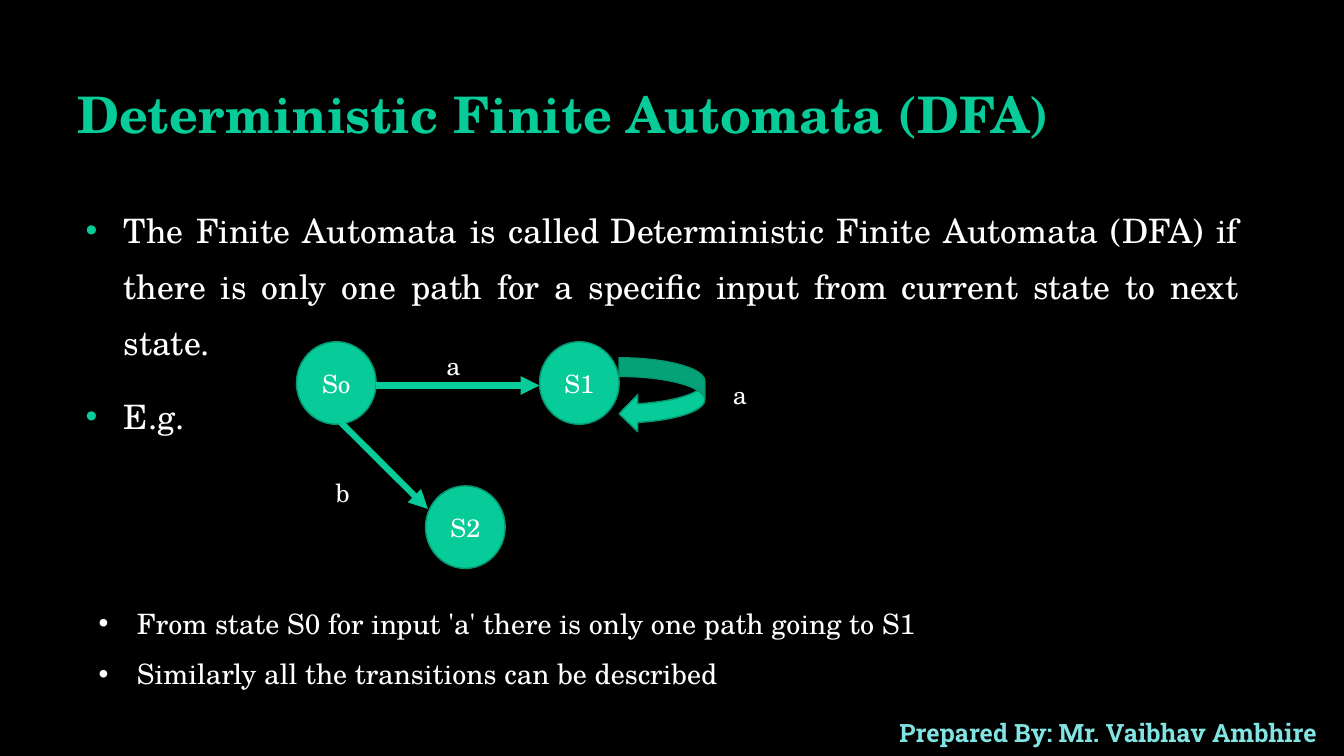
from lxml import etree
from pptx import Presentation
from pptx.dml.color import RGBColor
from pptx.enum.shapes import MSO_CONNECTOR, MSO_SHAPE
from pptx.enum.text import MSO_ANCHOR, PP_ALIGN
from pptx.oxml.ns import qn
from pptx.util import Inches, Pt

BLACK = RGBColor(0x00, 0x00, 0x00)
WHITE = RGBColor(0xFF, 0xFF, 0xFF)
GREEN = RGBColor(0x07, 0xCB, 0x98)
DARK_GREEN = RGBColor(0x05, 0x96, 0x70)
AQUA = RGBColor(0x82, 0xE3, 0xE3)
SERIF, SLAB = "TeX Gyre Schola", "Roboto Slab"
LEFT, CENTER, JUSTIFY = PP_ALIGN.LEFT, PP_ALIGN.CENTER, PP_ALIGN.JUSTIFY
TOP, MIDDLE, BOTTOM = MSO_ANCHOR.TOP, MSO_ANCHOR.MIDDLE, MSO_ANCHOR.BOTTOM
OVAL, LOOP = MSO_SHAPE.OVAL, MSO_SHAPE.CURVED_LEFT_ARROW
STRAIGHT = MSO_CONNECTOR.STRAIGHT

TITLE = "Deterministic Finite Automata (DFA)"
DEFINITION = [
    "The Finite Automata is called\u00a0Deterministic Finite Automata (DFA) if there is "
    "only one path for a specific input from current state to next state.",
    "E.g.",
]
REMARKS = [
    "From state S0 for input 'a' there is only one path going to S1",
    "Similarly all the transitions can be described",
]
CREDIT = "Prepared By: Mr. Vaibhav Ambhire"

# Places and sizes are percentages of the slide's width and height.
STATE_SIZE = (5.93, 10.93)
STATES = {"So": (22.06, 45.2), "S1": (40.14, 45.2), "S2": (31.66, 64.27)}
# Each end of a transition: state, then share of that state's width and height.
TRANSITIONS = [
    (("So", 1, 0.53), ("S1", 0, 0.53)),
    (("So", 0.56, 0.98), ("S2", 0.03, 0.28)),
]
LOOP_DROP, LOOP_SIZE = 2.13, (6.38, 9.87)
INPUT_SIZE = (3.08, 5.33)
INPUTS = [("a", 32.48, 45.73), ("b", 24.23, 62.53), ("a", 53.79, 49.47)]

deck = Presentation()
deck.slide_width, deck.slide_height = Inches(13.33), Inches(7.5)
page = deck.slides.add_slide(deck.slide_layouts[6])
page.background.fill.solid()
page.background.fill.fore_color.rgb = BLACK


def place(*shares):
    """Turn alternating percentages of slide width and height into lengths."""
    sides = (deck.slide_width, deck.slide_height)
    return [int(sides[i % 2] * share / 100) for i, share in enumerate(shares)]


def add_bullet(para, color):
    props = para._p.get_or_add_pPr()
    props.set("marL", str(Inches(0.38)))
    props.set("indent", str(-Inches(0.38)))
    tint = etree.SubElement(etree.SubElement(props, qn("a:buClr")), qn("a:srgbClr"))
    tint.set("val", str(color))
    etree.SubElement(props, qn("a:buFont")).set("typeface", "Arial")
    etree.SubElement(props, qn("a:buChar")).set("char", "•")


def write(box, lines, size=18, font=SERIF, color=WHITE, bold=False, align=LEFT,
          anchor=TOP, spacing=None, before=0, bullet=None):
    frame = box.text_frame
    frame.word_wrap = True
    frame.vertical_anchor = anchor
    for index, line in enumerate(lines):
        para = frame.add_paragraph() if index else frame.paragraphs[0]
        para.alignment = align
        para.space_before = Pt(before)
        if spacing:
            para.line_spacing = spacing
        if bullet is not None:
            add_bullet(para, bullet)
        span = para.add_run()
        span.text = line
        span.font.size, span.font.name, span.font.bold = Pt(size), font, bold
        span.font.color.rgb = color


def add_text(area, lines, **style):
    write(page.shapes.add_textbox(*place(*area)), lines, **style)


def add_green_shape(kind, area):
    shape = page.shapes.add_shape(kind, *place(*area))
    shape.shadow.inherit = False
    shape.fill.solid()
    shape.fill.fore_color.rgb = GREEN
    shape.line.color.rgb = DARK_GREEN
    shape.line.width = Pt(1)
    return shape


def state_point(name, across, down):
    left, top = STATES[name]
    return left + across * STATE_SIZE[0], top + down * STATE_SIZE[1]


def add_transition(start, end):
    arrow = page.shapes.add_connector(
        STRAIGHT, *place(*state_point(*start), *state_point(*end)))
    arrow.line.color.rgb = GREEN
    arrow.line.width = Pt(4.5)
    etree.SubElement(arrow.line._get_or_add_ln(), qn("a:tailEnd")).set("type", "triangle")
    etree.SubElement(arrow._element.spPr, qn("a:effectLst"))


add_text((64.82, 94.27, 35.26, 5.33), [CREDIT], font=SLAB, color=AQUA, bold=True,
         align=CENTER)
add_text((5.03, 6, 79.3, 13.73), [TITLE], size=36, color=GREEN, bold=True,
         anchor=BOTTOM, spacing=0.9)
add_text((5.63, 24.93, 87.25, 26.27), DEFINITION, size=24, align=JUSTIFY,
         spacing=1.4, before=12, bullet=GREEN)

for name, corner in STATES.items():
    circle = add_green_shape(OVAL, (*corner, *STATE_SIZE))
    write(circle, [name], align=CENTER, anchor=MIDDLE)
for start, end in TRANSITIONS:
    add_transition(start, end)
loop_left, loop_top = state_point("S1", 1, 0)
add_green_shape(LOOP, (loop_left, loop_top + LOOP_DROP, *LOOP_SIZE))
for symbol, left, top in INPUTS:
    add_text((left, top, *INPUT_SIZE), [symbol])

add_text((6.6, 77.33, 85.15, 20.67), REMARKS, size=20, spacing=1.5, bullet=WHITE)

deck.save("out.pptx")
